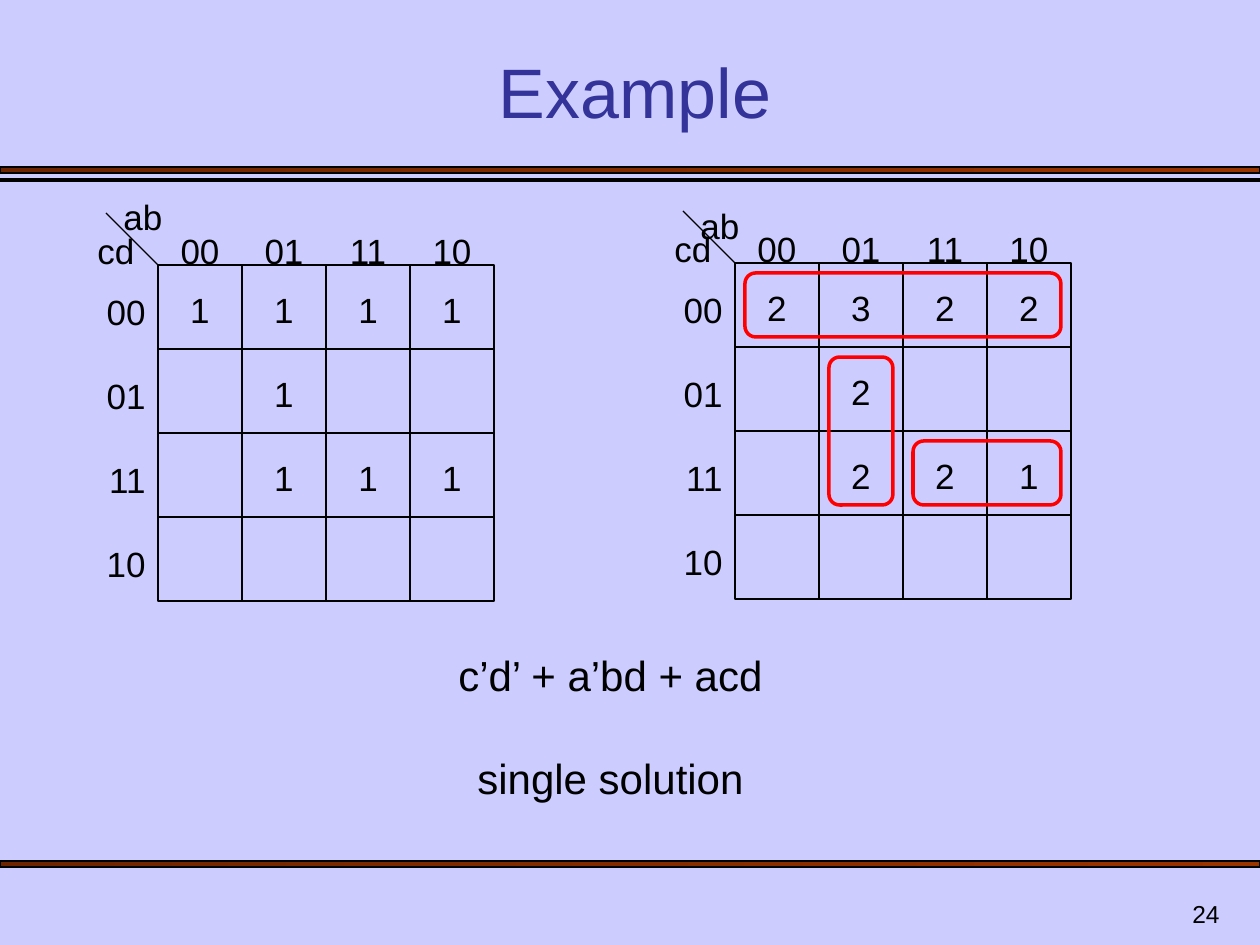
import pptx
import pptx.util
import pptx.dml.color
import pptx.enum.shapes
import pptx.enum.text
from dataclasses import dataclass
from lxml import etree

PX = 914400 // 126  # EMU per px
ALIGN = pptx.enum.text.PP_ALIGN
ANCHOR = pptx.enum.text.MSO_ANCHOR
AUTO = pptx.enum.text.MSO_AUTO_SIZE
SHAPE = pptx.enum.shapes.MSO_SHAPE


@dataclass(frozen=True)
class Theme:
    font: str = "Arial"
    background: str = "CCCCFF"
    title: str = "333399"
    ink: str = "000000"
    ring: str = "FF0000"
    bar_start: str = "6D2400"
    bar_end: str = "993300"
    title_size: int = 40
    result_size: int = 24
    map_size: int = 20
    number_size: int = 14
    thin: float = 0.75
    thick: float = 2


def rgb(value):
    return pptx.dml.color.RGBColor.from_string(value)


def emu(*lengths):
    return [pptx.util.Emu(n * PX) for n in lengths]


class SlideBuilder:
    def __init__(self, slide, theme):
        self.s, self.theme = slide, theme
        self.shapes = slide.shapes
        fill = slide.background.fill
        fill.solid()
        fill.fore_color.rgb = rgb(theme.background)

    def start_group(self):
        self.shapes = self.s.shapes.add_group_shape().shapes

    def end_group(self):
        self.shapes = self.s.shapes

    def add_run(self, p, text, size, color):
        r = p.add_run()
        r.text = text
        r.font.name = self.theme.font
        r.font.size = pptx.util.Pt(size)
        r.font.color.rgb = rgb(color)

    def title(self, text, x, y, w, h):
        sp = self.s.shapes.title
        sp.left, sp.top, sp.width, sp.height = emu(x, y, w, h)
        tf = sp.text_frame
        tf.auto_size = AUTO.NONE
        tf.vertical_anchor = ANCHOR.BOTTOM
        p = tf.paragraphs[0]
        p.alignment = ALIGN.CENTER
        self.add_run(p, text, self.theme.title_size, self.theme.title)

    def text(self, lines, x, y, w, h, size, align=ALIGN.CENTER,
             anchor=ANCHOR.TOP, gap=0, wrap=True):
        tf = self.shapes.add_textbox(*emu(x, y, w, h)).text_frame
        tf.word_wrap = wrap
        tf.vertical_anchor = anchor
        for i, line in enumerate(lines):
            p = tf.add_paragraph() if i else tf.paragraphs[0]
            p.alignment = align
            if i:
                p.space_before = pptx.util.Pt(gap)
            self.add_run(p, line, size, self.theme.ink)

    def outline(self, kind, x, y, w, h, color, width):
        sp = self.shapes.add_shape(kind, *emu(x, y, w, h))
        sp.shadow.inherit = False
        sp.fill.background()
        sp.line.color.rgb = rgb(color)
        sp.line.width = pptx.util.Pt(width)
        return sp

    def bar(self, y, h):
        sp = self.outline(SHAPE.RECTANGLE, 0, y, 1260, h,
                          self.theme.ink, self.theme.thin)
        sp.fill.gradient()
        sp.fill.gradient_angle = 0
        colors = self.theme.bar_start, self.theme.bar_end
        for stop, color in zip(sp.fill.gradient_stops, colors):
            stop.color.rgb = rgb(color)

    def line(self, x1, y1, x2, y2):
        c = self.shapes.add_connector(
            pptx.enum.shapes.MSO_CONNECTOR.STRAIGHT, *emu(x1, y1, x2, y2))
        c.line.color.rgb = rgb(self.theme.ink)
        c.line.width = pptx.util.Pt(self.theme.thin)
        sp_pr = c._element.spPr
        etree.SubElement(sp_pr, pptx.oxml.ns.qn("a:effectLst"))

    def karnaugh_map(self, x, y, rows, ab_rise):
        """Draw a map whose grid starts at x, y; each row is a string."""
        size = self.theme.map_size
        self.start_group()
        # Corner with the variable names
        self.line(x - 52, y - 52, x, y)
        self.text(["ab"], x - 47, y - ab_rise, 67, 54, size, ALIGN.LEFT)
        self.text(["cd"], x - 73, y - 42, 63, 54, size, ALIGN.LEFT)
        # Column and row codes
        for i, code in enumerate(CODES):
            self.text([code], x + i * CELL, y - 42, CELL, 54, size)
            self.text([code], x - 73, y + i * CELL + 19, 73, 54, size,
                      ALIGN.RIGHT)
        # Cells and their values
        for row, values in enumerate(rows):
            for col, value in enumerate(values):
                left, top = x + col * CELL, y + row * CELL
                self.outline(SHAPE.RECTANGLE, left, top, CELL, CELL,
                             self.theme.ink, self.theme.thin)
                if value != " ":
                    self.text([value], left, top + 17, CELL, 54, size)
        self.end_group()

    def ring(self, x, y, col, row, cols, rows):
        self.outline(SHAPE.ROUNDED_RECTANGLE,
                     x + col * CELL + INSET, y + row * CELL + INSET,
                     cols * CELL - 2 * INSET, rows * CELL - 2 * INSET,
                     self.theme.ring, self.theme.thick)


CELL = 84
INSET = 10
CODES = ["00", "01", "11", "10"]
MINTERMS = ["1111", " 1  ", " 111", "    "]
COVER_COUNTS = ["2322", " 2  ", " 221", "    "]
RINGS = [(2, 2, 2, 1), (1, 1, 1, 2), (0, 0, 4, 1)]  # col, row, cols, rows


def main():
    prs = pptx.Presentation()
    prs.slide_width, prs.slide_height = emu(1260, 945)
    theme = Theme()
    b = SlideBuilder(prs.slides.add_slide(prs.slide_layouts[5]), theme)

    # Frame: bars, page number and title
    for y, h in [(167, 6), (179, 2), (861, 6)]:
        b.bar(y, h)
    b.text(["24"], 970, 882, 262, 53, theme.number_size, ALIGN.RIGHT,
           ANCHOR.BOTTOM)
    b.title("Example", 73, 53, 1124, 86)

    # Maps: the function on the left, its cover on the right
    b.karnaugh_map(158, 265, MINTERMS, ab_rise=76)
    x, y = 735, 263
    b.karnaugh_map(x, y, COVER_COUNTS, ab_rise=65)
    for ring in RINGS:
        b.ring(x, y, *ring)

    # Result
    b.text(["c’d’ + a’bd + acd", "single solution"], 445, 643, 331, 164,
           theme.result_size, gap=30, wrap=False)

    prs.save("out.pptx")


if __name__ == "__main__":
    main()
